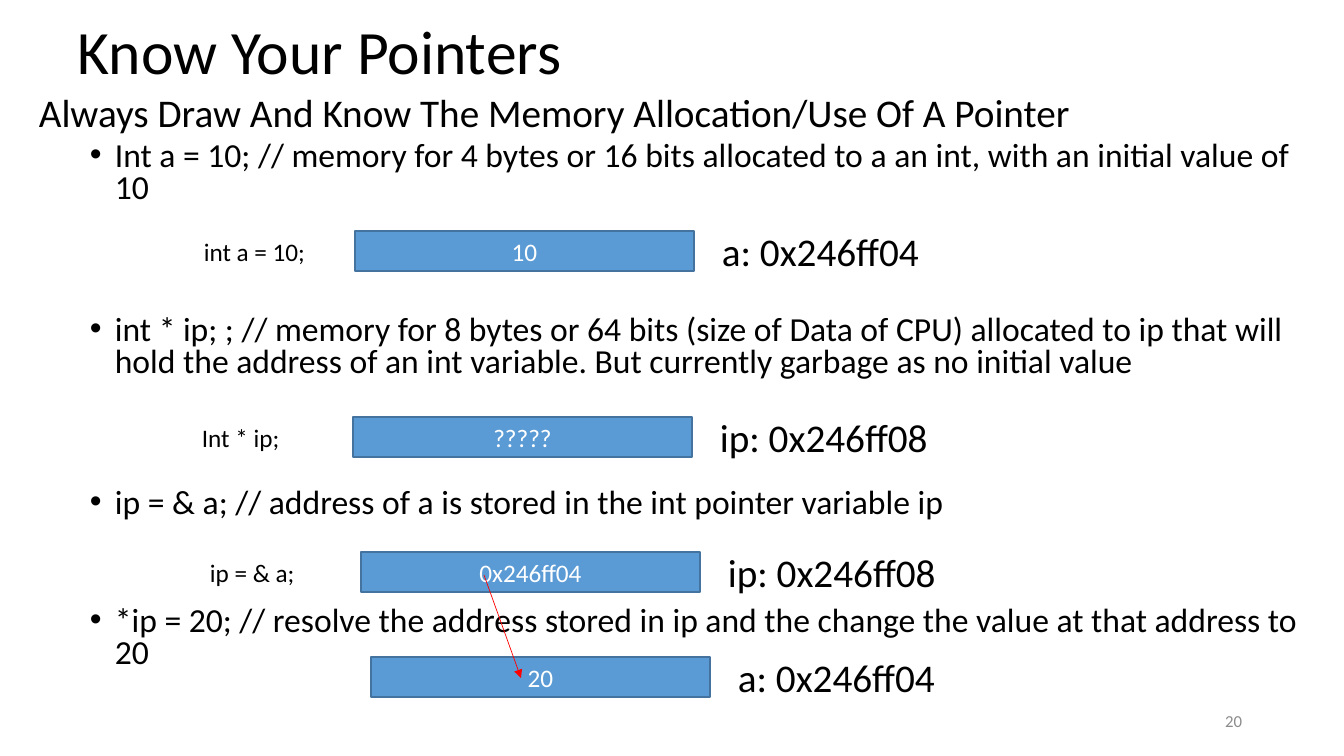
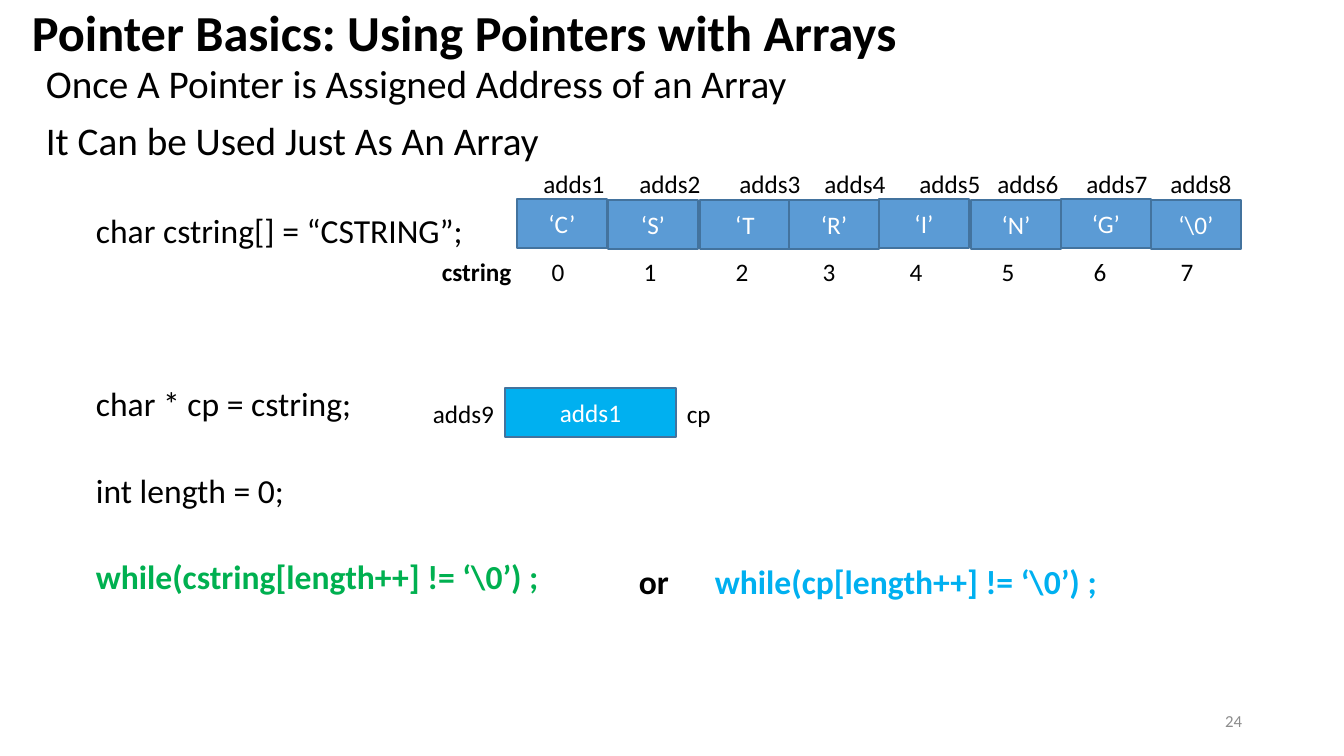
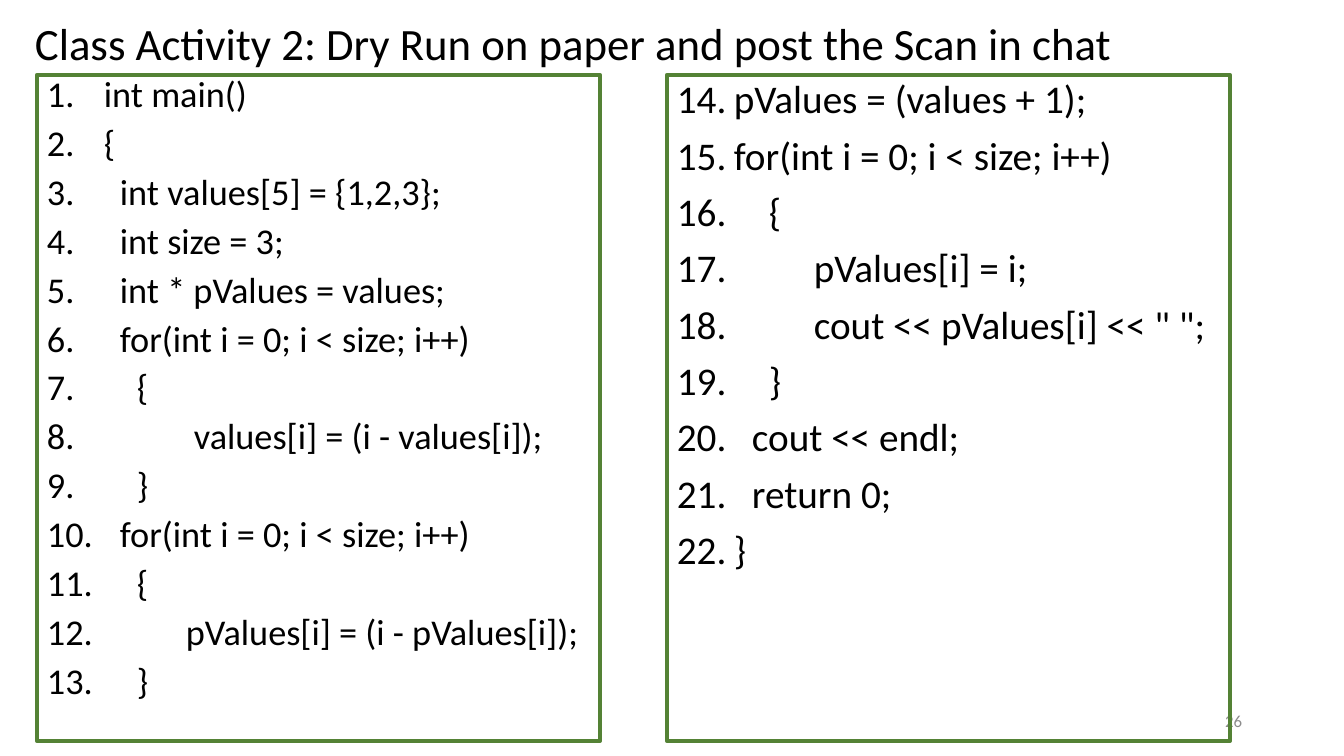
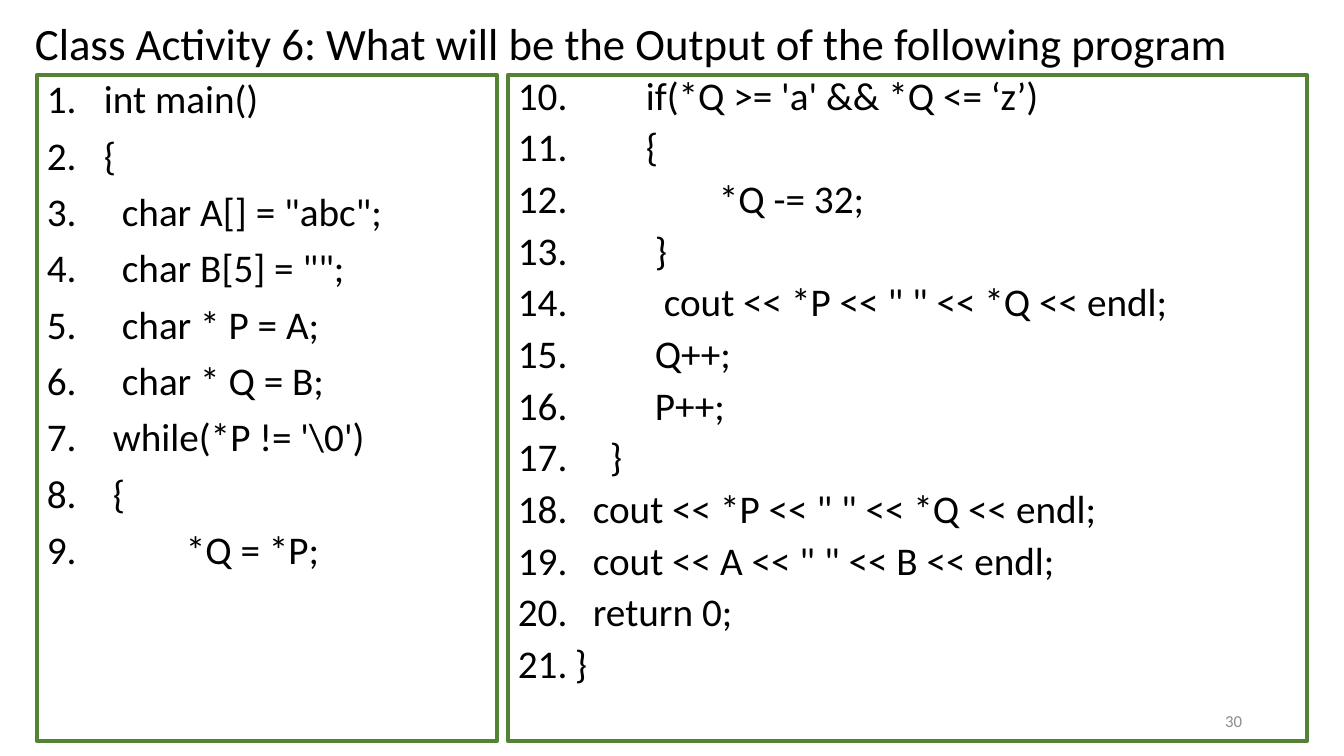
from lxml import etree
from pptx import Presentation
from pptx import util as u
from pptx.dml import color
from pptx.enum import shapes, text
from pptx.oxml import ns

SCALE = 914400 / 100.8
COLOURS = {
    "black": "000000", "white": "FFFFFF", "grey": "8C8C8C", "blue": "5B9BD5",
    "edge": "43739E", "sky": "00B0F0", "leaf": "00B050", "moss": "548235", "red": "FF0000",
}
RGB = {name: color.RGBColor.from_string(value) for name, value in COLOURS.items()}
MIDDLE, TOP = text.MSO_ANCHOR.MIDDLE, text.MSO_ANCHOR.TOP
LEFT, CENTER, RIGHT = text.PP_ALIGN.LEFT, text.PP_ALIGN.CENTER, text.PP_ALIGN.RIGHT
STYLES = {
    "title": {"size": 44, "anchor": MIDDLE, "line_spacing": 0.9},
    "bold title": {"size": 36, "bold": True, "anchor": MIDDLE, "line_spacing": 0.9},
    "small title": {"size": 32, "anchor": MIDDLE, "line_spacing": 0.9},
    "footer": {"size": 12, "anchor": MIDDLE, "alignment": RIGHT, "colour": "grey"},
    "dense body": {"size": 28, "line_spacing": 0.8},
    "body": {"size": 28, "line_spacing": 0.9},
    "label": {"size": 18},
    "centred label": {"size": 18, "alignment": CENTER},
    "address": {"size": 28},
    "cell": {"size": 18, "anchor": MIDDLE, "alignment": CENTER, "colour": "white",
             "fill": "blue", "line": ("edge", 1)},
    "pointer cell": {"size": 18, "anchor": MIDDLE, "alignment": CENTER, "colour": "white",
                     "fill": "sky", "line": ("edge", 1)},
    "dense code": {"size": 28, "line_spacing": 0.8, "space_before": 10, "line": ("moss", 3)},
    "code": {"size": 28, "line_spacing": 0.9, "space_before": 10, "line": ("moss", 3)},
}


def px(value):
    return u.Emu(round(value * SCALE))


def put_text(slide, style_name, box, lines):
    style = STYLES[style_name]
    place = [px(value) for value in box]
    if "line" in style:
        shape = slide.shapes.add_shape(shapes.MSO_SHAPE.RECTANGLE, *place)
        shape.shadow.inherit = False
        edge, width = style["line"]
        shape.line.color.rgb = RGB[edge]
        shape.line.width = u.Pt(width)
        if "fill" in style:
            shape.fill.solid()
            shape.fill.fore_color.rgb = RGB[style["fill"]]
        else:
            shape.fill.background()
    else:
        shape = slide.shapes.add_textbox(*place)
    frame = shape.text_frame
    frame.word_wrap = True
    frame.vertical_anchor = style.get("anchor", TOP)
    for number, (words, changes) in enumerate(lines):
        look = {**style, **changes}
        paragraph = frame.paragraphs[0] if number == 0 else frame.add_paragraph()
        run = paragraph.add_run()
        run.text = words
        paragraph_format = {
            "alignment": look.get("alignment", LEFT),
            "line_spacing": look.get("line_spacing", 1.0),
            "space_before": u.Pt(look.get("space_before", 0)),
        }
        font_format = {"name": "Calibri", "size": u.Pt(look["size"]), "bold": look.get("bold", False)}
        for target, values in ((paragraph, paragraph_format), (run.font, font_format)):
            for name, value in values.items():
                setattr(target, name, value)
        run.font.color.rgb = RGB[look.get("colour", "black")]
        properties = paragraph._p.get_or_add_pPr()
        if "margin" in look:
            properties.set("marL", str(px(look["margin"])))
            properties.set("indent", str(px(-look.get("hang", 0))))
        if "start" in look:
            etree.SubElement(properties, ns.qn("a:buAutoNum"), type="arabicPeriod", startAt=str(look["start"]))
        elif "bullet" in look:
            etree.SubElement(properties, ns.qn("a:buFont"), typeface="Arial")
            etree.SubElement(properties, ns.qn("a:buChar"), char=look["bullet"])


presentation = Presentation()
presentation.slide_width, presentation.slide_height = px(1344), px(756)

slides = []
for title, style_name, box, page in (
    ("Know Your Pointers", "title", (68, 0, 1159, 110), "20"),
    ("Pointer Basics: Using Pointers with Arrays", "bold title", (22, 0, 1230, 71), "24"),
    ("Class Activity 2: Dry Run on paper and post the Scan in chat", "small title", (25, 16, 1318, 59), "26"),
    ("Class Activity 6: What will be the Output of the following program", "small title",
     (25, 16, 1318, 59), "30"),
):
    slide = presentation.slides.add_slide(presentation.slide_layouts[6])
    put_text(slide, style_name, box, [(title, {})])
    put_text(slide, "footer", (950, 701, 302, 40), [(page, {})])
    slides.append(slide)
memory_slide, array_slide, dry_run_slide, output_slide = slides

bullet = {"size": 24, "margin": 76, "hang": 25, "bullet": "•"}
put_text(memory_slide, "dense body", (29, 92, 1287, 590), [
    ("Always Draw And Know The Memory Allocation/Use Of A Pointer", {}),
    ("Int a = 10; // memory for 4 bytes or 16 bits allocated to a an int, with an initial value of 10",
     {**bullet, "space_before": 5}),
    ("int * ip; ; // memory for 8 bytes or 64 bits (size of Data of CPU) allocated to ip that will hold "
     "the address of an int variable. But currently garbage as no initial value",
     {**bullet, "space_before": 78}),
    ("ip = & a; // address of a is stored in the int pointer variable ip", {**bullet, "space_before": 78}),
    ("*ip = 20; // resolve the address stored in ip and the change the value at that address to 20",
     {**bullet, "space_before": 61}),
])
for left, top, code, value, address in (
    (355, 231, "int a = 10;", "10", "a: 0x246ff04"),
    (353, 417, "Int * ip;", "?????", "ip: 0x246ff08"),
    (361, 552, "ip = & a;", "0x246ff04", "ip: 0x246ff08"),
    (371, 657, None, "20", "a: 0x246ff04"),
):
    if code:
        put_text(memory_slide, "label", (left - 161, top, 150, 40), [(code, {})])
    put_text(memory_slide, "cell", (left, top, 339, 40), [(value, {})])
    put_text(memory_slide, "address", (left + 357, top - 9, 307, 57), [(address, {})])

arrow = memory_slide.shapes.add_connector(
    shapes.MSO_CONNECTOR.STRAIGHT, px(484), px(575), px(521), px(678))
arrow.line.color.rgb = RGB["red"]
arrow.line.width = u.Pt(0.5)
etree.SubElement(arrow.line._get_or_add_ln(), ns.qn("a:tailEnd"), type="triangle")
etree.SubElement(arrow._element.spPr, ns.qn("a:effectLst"))

code_line = {"size": 24, "margin": 50, "space_before": 36}
put_text(array_slide, "body", (36, 60, 1295, 696), [
    ("Once A Pointer is Assigned Address of an Array", {}),
    ("It Can be Used Just As An Array", {"space_before": 10}),
    ("char cstring[] = “CSTRING”;", code_line),
    ("char * cp = cstring;", {**code_line, "space_before": 98}),
    ("int length = 0;", code_line),
    ("while(cstring[length++] != ‘\\0’) ;", {**code_line, "bold": True, "colour": "leaf"}),
])
for left, width, words, colour in (
    (629, 70, "or", "black"),
    (705, 430, "while(cp[length++] != ‘\\0’) ;", "sky"),
):
    put_text(array_slide, "label", (left, 556, width, 45),
             [(words, {"size": 24, "bold": True, "colour": colour})])

for index, (letter, left, top, address_centre, index_centre) in enumerate((
    ("‘C’", 517, 199, 574, 558),
    ("‘S’", 608, 200, 670, 650),
    ("‘T", 700, 200, 770, 742),
    ("‘R’", 789, 200, 855, 829),
    ("‘I’", 879, 199, 950, 916),
    ("‘N’", 971, 200, 1028, 1008),
    ("‘G’", 1061, 199, 1117, 1100),
    ("‘\\0’", 1151, 200, 1201, 1187),
)):
    put_text(array_slide, "cell", (left, top, 90, 49), [(letter, {})])
    put_text(array_slide, "centred label", (address_centre - 50, 163, 100, 40), [(f"adds{index + 1}", {})])
    put_text(array_slide, "centred label", (index_centre - 25, 251, 50, 40), [(str(index), {})])

put_text(array_slide, "pointer cell", (505, 388, 171, 49), [("adds1", {})])
for left, top, words, bold in (
    (432, 251, "cstring", True),
    (423, 393, "adds9", False),
    (677, 393, "cp", False),
):
    put_text(array_slide, "label", (left, top, 100, 40), [(words, {"bold": bold})])

for slide, style_name, left, width, size, start, lines in (
    (dry_run_slide, "dense code", 37, 563, 25.9, 1, (
        (0, "int main()"),
        (0, "{"),
        (16, "int values[5] = {1,2,3};"),
        (16, "int size = 3;"),
        (16, "int * pValues = values;"),
        (16, "for(int i = 0; i < size; i++)"),
        (33, "{"),
        (90, "values[i] = (i - values[i]);"),
        (33, "}"),
        (16, "for(int i = 0; i < size; i++)"),
        (33, "{"),
        (82, "pValues[i] = (i - pValues[i]);"),
        (33, "}"),
    )),
    (dry_run_slide, "code", 667, 563, 28, 14, (
        (0, "pValues = (values + 1);"),
        (0, "for(int i = 0; i < size; i++)"),
        (35, "{"),
        (80, "pValues[i] = i;"),
        (80, "cout << pValues[i] << \" \";"),
        (35, "}"),
        (18, "cout << endl;"),
        (18, "return 0;"),
        (0, "}"),
    )),
    (output_slide, "code", 37, 460, 28, 1, (
        (0, "int main()"),
        (0, "{"),
        (18, "char A[] = \"abc\";"),
        (18, "char B[5] = \"\";"),
        (18, "char * P = A;"),
        (18, "char * Q = B;"),
        (9, "while(*P != '\\0')"),
        (9, "{"),
        (82, "*Q = *P;"),
    )),
    (output_slide, "dense code", 508, 799, 28, 10, (
        (71, "if(*Q >= 'a' && *Q <= ‘z’)"),
        (71, "{"),
        (144, "*Q -= 32;"),
        (80, "}"),
        (89, "cout << *P << \" \" << *Q << endl;"),
        (80, "Q++;"),
        (80, "P++;"),
        (35, "}"),
        (18, "cout << *P << \" \" << *Q << endl;"),
        (18, "cout << A << \" \" << B << endl;"),
        (18, "return 0;"),
        (0, "}"),
    )),
):
    put_text(slide, style_name, (left, 75, width, 666), [
        (code, {"size": size, "start": start, "margin": 57 + indent, "hang": 57 + indent})
        for indent, code in lines
    ])

presentation.save("out.pptx")
